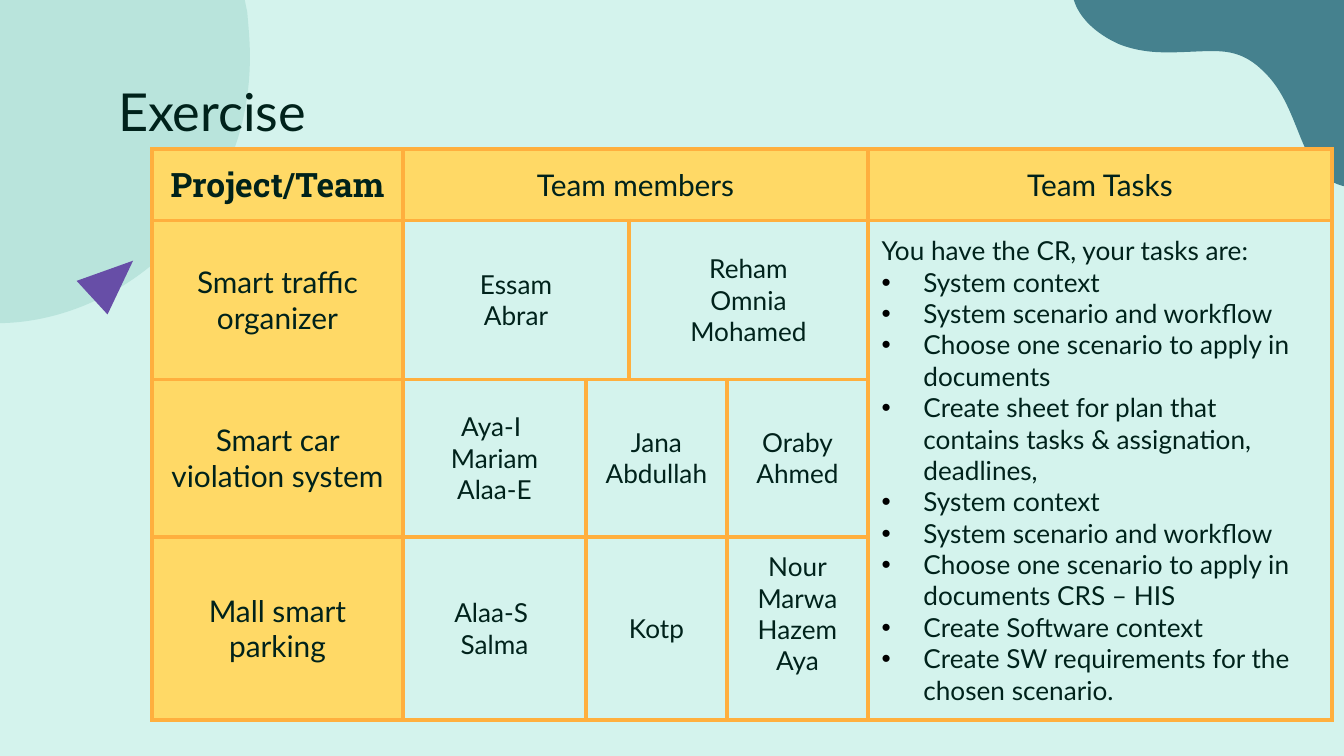
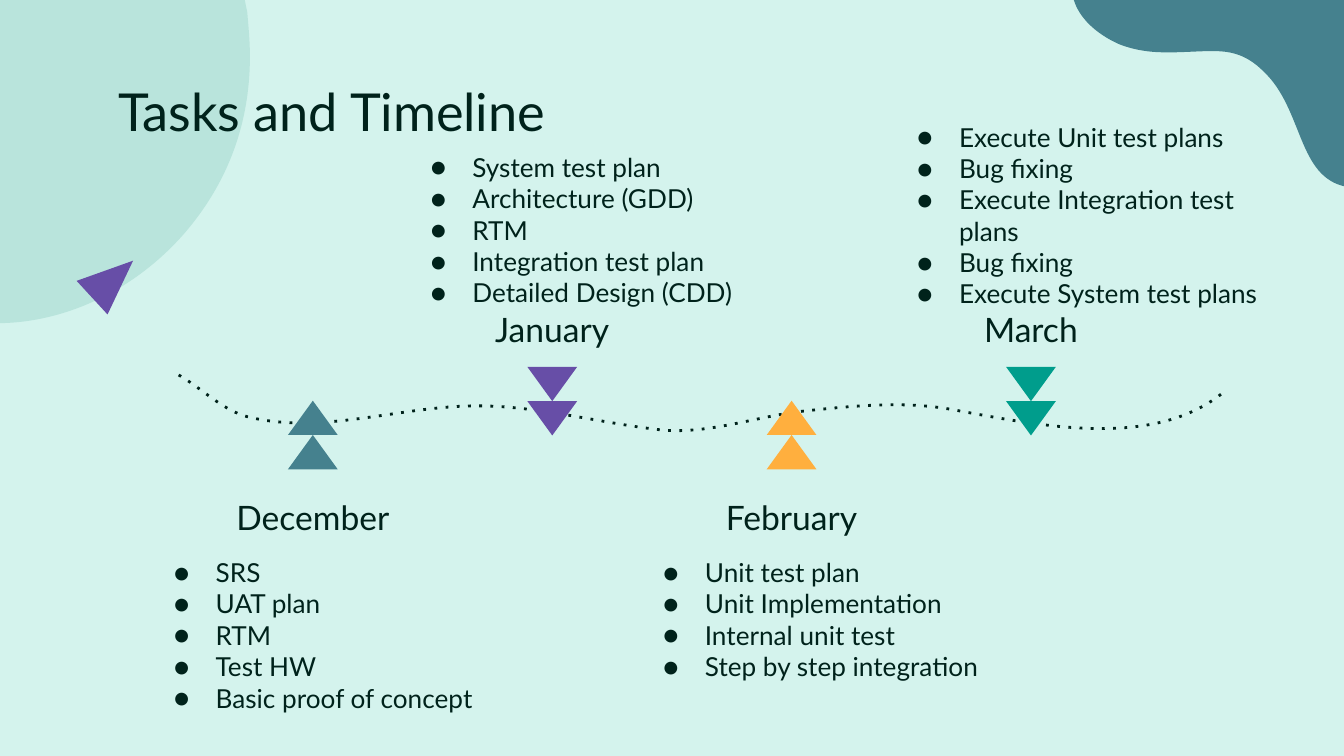
import lxml.etree
import pptx
import pptx.dml.color
import pptx.enum.shapes
import pptx.enum.text
import pptx.oxml.ns
import pptx.util

ALIGN = pptx.enum.text.PP_ALIGN
ANCHOR = pptx.enum.text.MSO_ANCHOR
WIDE, HIGH = pptx.util.Inches(10), pptx.util.Inches(5.625)
CELL = WIDE / 100  # the grid has 100 columns; rows are as high as columns are wide

INK, MINT, SAGE = "00221B", "D4F3ED", "B9E4DC"
TEAL, PLUM, AMBER, GREEN, GOLD = "45818E", "674EA7", "FFAF3E", "009D8C", "FFD966"
BODY, SLAB = "Lato", "Roboto Slab"

# An outline is a start point, then points (lines) or six numbers (curves).
DISC = [(18.6, 4.2), (18.6, 3.1, 18.5, 2, 18.4, 0.9), (18.3, 0.4, 18.2, -0.1, 18.1, -0.6),
        (-1.4, -0.6), (-1.4, 24), (3.4, 24.4, 9.3, 22.4, 13.7, 17.4),
        (17.5, 13, 18.6, 8.3, 18.6, 4.2)]
WAVE = [(100.2, 13.9), (96.5, 13.2, 97, 8.1, 94, 5.3), (92.7, 4, 91.5, 3.8, 90.2, 3.8),
        (89.2, 3.8, 88.1, 3.9, 86.9, 3.9), (85.8, 3.9, 84.6, 3.8, 83.3, 3.3),
        (81.5, 2.5, 80.3, 1.3, 79.9, 0), (100.2, 0)]
DART = [(9.9, 19.4), (5.7, 20.9), (8, 23.4)]
TRAIL = [(13.3, 27.9), (15.2, 29, 16.7, 30.7, 18.8, 31.1), (24.3, 32.3, 29.9, 30.2, 35.5, 30.2),
         (40.1, 30.2, 44.7, 31.5, 49.3, 32), (52.8, 32.3, 56.2, 31, 59.7, 30.6),
         (63.5, 30.2, 67.3, 29.8, 71, 30.5), (77.5, 31.7, 85.7, 33.4, 90.9, 29.3)]

TASKS = """You have the CR, your tasks are:
System context
System scenario and workflow
Choose one scenario to apply in documents
Create sheet for plan that contains tasks & assignation, deadlines,
System context
System scenario and workflow
Choose one scenario to apply in documents CRS – HIS
Create Software context
Create SW requirements for the chosen scenario."""
CREW = "Nour\nMarwa\nHazem\nAya"

COLS = [18.7, 13.6, 3.2, 7.3, 10.5, 34.5]
ROWS = [5.3, 11.85, 11.7, 13.65]
# row, column, rows spanned, columns spanned, text
TEAMS = [
    (0, 0, 1, 1, "Project/Team"), (0, 1, 1, 4, "Team members"), (0, 5, 1, 1, "Team Tasks"),
    (1, 0, 1, 1, "Smart traffic organizer"), (1, 1, 1, 2, "Essam\nAbrar"),
    (1, 3, 1, 2, "Reham\nOmnia\nMohamed"), (1, 5, 3, 1, TASKS),
    (2, 0, 1, 1, "Smart car violation system"), (2, 1, 1, 1, "Aya-I \nMariam\nAlaa-E"),
    (2, 2, 1, 2, "Jana\nAbdullah"), (2, 4, 1, 1, "Oraby\vAhmed"),
    (3, 0, 1, 1, "Mall smart parking"), (3, 1, 1, 1, "Alaa-S \nSalma"),
    (3, 2, 1, 2, "Kotp"), (3, 4, 1, 1, CREW),
]

# month, colour, list box, list; even months hang below the trail, odd ones stand above
MONTHS = [
    ("December", TEAL, (11.95, 40.4, 26, 14.3),
     "SRS\nUAT plan\nRTM\nTest HW\nBasic proof of concept"),
    ("January", PLUM, (31.05, 10.25, 26, 14.3),
     "System test plan\nArchitecture (GDD)\nRTM\nIntegration test plan\nDetailed Design (CDD)"),
    ("February", AMBER, (48.35, 40.4, 26, 11.6),
     "Unit test plan\nUnit Implementation\nInternal unit test\nStep by step integration"),
    ("March", GREEN, (67.25, 8, 29.1, 14.1),
     "Execute Unit test plans\nBug fixing\nExecute Integration test plans\nBug fixing\n"
     "Execute System test plans"),
]


def grid(*cells):
    return [pptx.util.Emu(round(n * CELL)) for n in cells]


def paint(fill, hue):
    fill.solid()
    fill.fore_color.rgb = pptx.dml.color.RGBColor.from_string(hue)


def add(parent, tag, **attrs):
    return lxml.etree.SubElement(parent, pptx.oxml.ns.qn(tag), **attrs)


def style(frame, size, font=BODY, bold=False, align=ALIGN.LEFT):
    for par in frame.paragraphs:
        par.alignment = align
        for run in par.runs:
            run.font.size, run.font.name, run.font.bold = pptx.util.Pt(size), font, bold
            paint(run.font.fill, INK)


def inset(box):
    box.margin_left = box.margin_right = box.margin_top = box.margin_bottom = grid(1)[0]


def bullet(par, mark, hue, font):
    props = par._p.get_or_add_pPr()
    hang = grid(3.12)[0]
    props.set("marL", str(hang))
    props.set("indent", str(-hang))
    add(add(props, "a:buClr"), "a:srgbClr", val=hue)
    add(props, "a:buFont", typeface=font)
    add(props, "a:buChar", char=mark)


def label(slide, box, text, size, align=ALIGN.LEFT, anchor=ANCHOR.TOP):
    frame = slide.shapes.add_textbox(*grid(*box)).text_frame
    frame.word_wrap = True
    frame.vertical_anchor = anchor
    inset(frame)
    frame.text = text
    style(frame, size, align=align)
    return frame


def outline(slide, steps, close=True):
    """Draw straight lines between the end points, then bend those that are curves."""
    pen = slide.shapes.build_freeform(*grid(*steps[0]))
    pen.add_line_segments([grid(*step[-2:]) for step in steps[1:]], close=close)
    shape = pen.convert_to_shape()
    shape.shadow.inherit = False
    lines = list(shape._element.iter(pptx.oxml.ns.qn("a:lnTo")))
    for line, step in zip(lines, steps[1:]):
        if len(step) == 6:
            curve = add(line.getparent(), "a:cubicBezTo")
            line.getparent().replace(line, curve)
            spots = grid(*step)
            for x, y in zip(spots[::2], spots[1::2]):
                add(curve, "a:pt", x=str(x - shape.left), y=str(y - shape.top))
    return shape


def blob(slide, steps, hue):
    shape = outline(slide, steps)
    paint(shape.fill, hue)
    shape.line.fill.background()


def trail(slide):
    shape = outline(slide, TRAIL, close=False)
    shape.fill.background()
    paint(shape.line.fill, INK)
    shape.line.width = pptx.util.Pt(1.5)
    add(shape.line._get_or_add_ln(), "a:prstDash", val="dot")


def arrows(slide, mid, top, hue, turn):
    """Stack two triangles, point up or turned by the given angle."""
    wide, high = 3.7, 2.55
    group = slide.shapes.add_group_shape()
    for row in range(2):
        shape = group.shapes.add_shape(
            pptx.enum.shapes.MSO_SHAPE.ISOSCELES_TRIANGLE,
            *grid(mid - wide / 2, top + row * high, wide, high))
        shape.rotation = turn
        shape.shadow.inherit = False
        paint(shape.fill, hue)
        shape.line.fill.background()


def border(cell, hue, width):
    props = cell._tc.get_or_add_tcPr()
    for i, side in enumerate("LRTB"):
        line = add(props, "a:ln" + side, w=str(pptx.util.Pt(width)))
        add(add(line, "a:solidFill"), "a:srgbClr", val=hue)
        props.insert(i, line)


def page(deck, title):
    slide = deck.slides.add_slide(deck.slide_layouts[6])
    for steps, hue in ((DISC, SAGE), (WAVE, TEAL), (DART, PLUM)):
        blob(slide, steps, hue)
    label(slide, (7.8, 4.9, 74.2, 6.3), title, 28)
    return slide


def teams(slide):
    box = grid(11.3, 11.1, sum(COLS), sum(ROWS))
    table = slide.shapes.add_table(len(ROWS), len(COLS), *box).table
    table.first_row = table.horz_banding = False
    for col, wide in zip(table.columns, grid(*COLS)):
        col.width = wide
    for row, high in zip(table.rows, grid(*ROWS)):
        row.height = high
    for cell in table.iter_cells():
        cell.fill.background()
        border(cell, AMBER, 2.25)
    for row, col, down, right, text in TEAMS:
        cell = table.cell(row, col)
        if down * right > 1:
            cell.merge(table.cell(row + down - 1, col + right - 1))
        cell.vertical_anchor = ANCHOR.MIDDLE
        inset(cell)
        cell.text_frame.text = text
        corner, head = row == col == 0, row == 0 or col == 0
        if head:
            paint(cell.fill, GOLD)
        style(cell.text_frame, 18 if corner else 16 if head else 14,
              SLAB if corner else BODY, corner, ALIGN.LEFT if text == TASKS else ALIGN.CENTER)
        if text == TASKS:
            for par in cell.text_frame.paragraphs[1:]:
                bullet(par, "•", "000000", "Arial")
        if text == CREW:
            cell.margin_bottom = grid(3.2)[0]


def months(slide):
    trail(slide)
    for i, (name, hue, box, items) in enumerate(MONTHS):
        mid, above = 23.28 + 17.81 * i, i % 2 == 1
        arrows(slide, mid, 27.3 if above else 29.82, hue, 180 if above else 0)
        label(slide, (mid - 10.15, 22.1 if above else 36, 20.3, 4.9), name, 18,
              ALIGN.CENTER, ANCHOR.BOTTOM if above else ANCHOR.TOP)
        for par in label(slide, box, items, 14).paragraphs:
            bullet(par, "●", INK, BODY)


def main():
    deck = pptx.Presentation()
    deck.slide_width, deck.slide_height = WIDE, HIGH
    paint(deck.slide_master.background.fill, MINT)
    teams(page(deck, "Exercise"))
    months(page(deck, "Tasks and Timeline"))
    deck.save("out.pptx")


if __name__ == "__main__":
    main()
